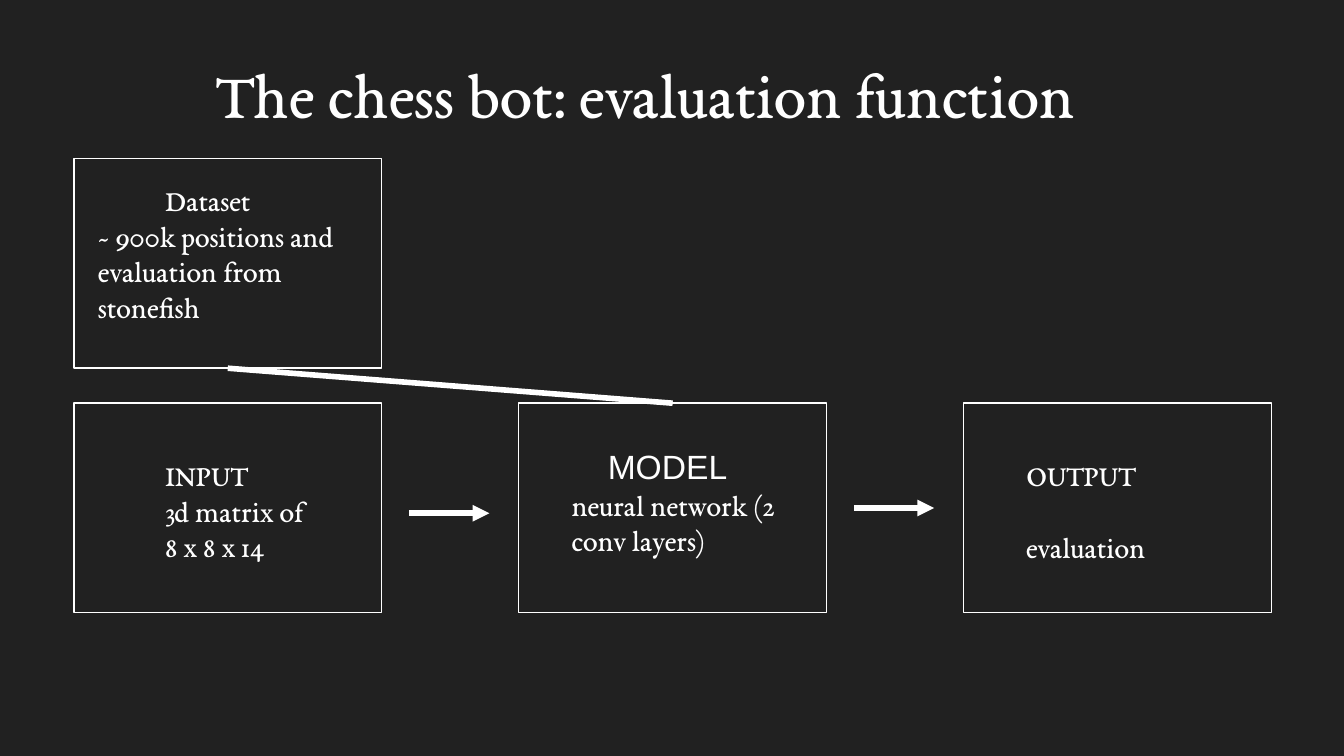
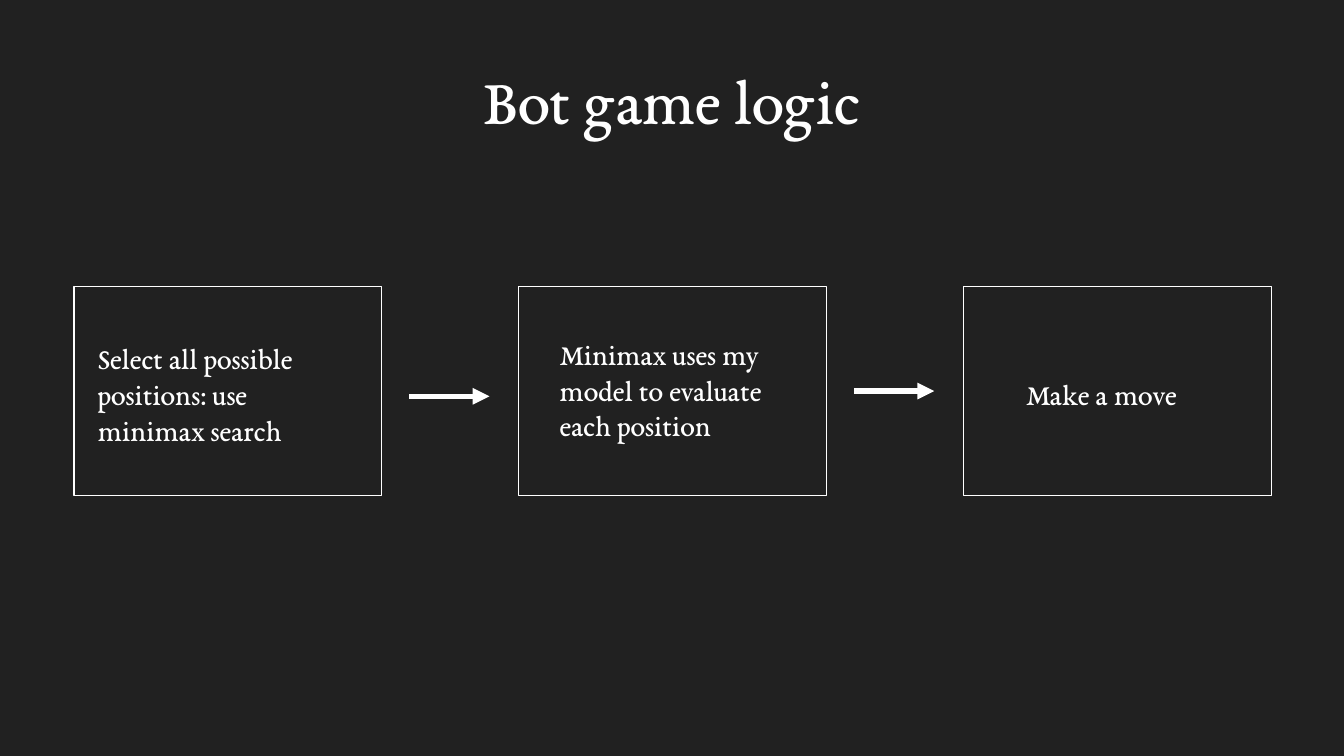
from dataclasses import dataclass
from lxml import etree
from pptx import Presentation
from pptx import util as u
from pptx.dml.color import RGBColor
from pptx.enum import shapes, text
from pptx.oxml import ns

WHITE = RGBColor(0xFF, 0xFF, 0xFF)
CHARCOAL = RGBColor(0x21, 0x21, 0x21)
SERIF = "EB Garamond"
SANS = "Arial"
TITLE_SIZE = 35
BODY_SIZE = 16
INSET = 0.1
LINE_HEIGHT = 0.27
TAB = 0.5
ARROW_SPAN = (1.09, 1.35)
ARROW_HEIGHTS = (0.525, 0.5)
LEFT_TEXT = (0.035, 0.19, 0.925, 0.62)
RIGHT_TEXT = (0.16, 0.19, 0.67, 0.62)


@dataclass
class Box:
    left: float
    top: float
    width: float
    height: float

    def point(self, across, down):
        return (u.Inches(self.left + across * self.width),
                u.Inches(self.top + down * self.height))

    def share(self, across, down, wide, high):
        return Box(self.left + across * self.width, self.top + down * self.height,
                   wide * self.width, high * self.height)

    def frame(self):
        return [u.Inches(side) for side in (self.left, self.top, self.width, self.height)]


@dataclass
class Line:
    words: str
    margin: float = 0
    first_indent: float = 0
    before: float = 0
    size: int = BODY_SIZE
    font: str = SERIF


PAGE = Box(0, 0, 10, 5.625)


def cell(column, top):
    return Box(0.55 + 3.31 * column, top, 2.29, 1.56)


def prepare_frame(frame, top_inset=INSET):
    frame.word_wrap = True
    frame.auto_size = text.MSO_AUTO_SIZE.NONE
    frame.vertical_anchor = text.MSO_ANCHOR.TOP
    frame.margin_left = frame.margin_right = frame.margin_bottom = u.Inches(INSET)
    frame.margin_top = u.Inches(top_inset)


def format_runs(para, size, font):
    for span in para.runs:
        span.font.size = u.Pt(size)
        span.font.name = font
        span.font.color.rgb = WHITE


def add_titled_page(deck, title, across, down):
    page = deck.slides.add_slide(deck.slide_layouts[5])
    holder = page.shapes.title
    box = PAGE.share(across, down, 0.914, 0.172)
    holder.left, holder.top, holder.width, holder.height = box.frame()
    holder.text_frame.text = title
    prepare_frame(holder.text_frame)
    para = holder.text_frame.paragraphs[0]
    para.alignment = text.PP_ALIGN.CENTER
    format_runs(para, TITLE_SIZE, SERIF)
    return page


def add_step(page, box, text_share, lines, top_inset=INSET):
    panel = page.shapes.add_shape(shapes.MSO_SHAPE.RECTANGLE, *box.frame())
    panel.shadow.inherit = False
    panel.fill.solid()
    panel.fill.fore_color.rgb = CHARCOAL
    panel.line.color.rgb = WHITE
    panel.line.width = u.Pt(0.75)

    label = page.shapes.add_textbox(*box.share(*text_share).frame())
    prepare_frame(label.text_frame, top_inset)
    label.text_frame.text = "\n".join(line.words for line in lines)
    for para, line in zip(label.text_frame.paragraphs, lines):
        properties = para._p.get_or_add_pPr()
        properties.set("marL", str(u.Inches(line.margin)))
        properties.set("indent", str(u.Inches(line.first_indent)))
        if line.before:
            para.space_before = u.Inches(line.before)
        format_runs(para, line.size, line.font)
    return panel


def add_line(page, start, end, arrow=False):
    line = page.shapes.add_connector(shapes.MSO_CONNECTOR.STRAIGHT, *start, *end)
    line.line.color.rgb = WHITE
    line.line.width = u.Pt(3)
    if arrow:
        etree.SubElement(line.line._get_or_add_ln(), ns.qn("a:tailEnd"), type="triangle")
    etree.SubElement(line._element.spPr, ns.qn("a:effectLst"))
    return line


def add_flow_arrows(page, top):
    for column, height in enumerate(ARROW_HEIGHTS):
        start, end = [cell(column, top).point(across, height) for across in ARROW_SPAN]
        add_line(page, start, end, arrow=True)


def build_evaluation_page(deck):
    page = add_titled_page(deck, "The chess bot: evaluation function", 0.023, 0.053)
    flow_top = 3
    dataset_box, model_box = cell(0, 1.18), cell(1, flow_top)
    add_step(page, cell(0, flow_top), LEFT_TEXT, [
        Line("INPUT", TAB), Line("3d matrix of", TAB), Line("8 x 8 x 14", TAB)])
    add_step(page, cell(2, flow_top), RIGHT_TEXT, [
        Line("OUTPUT"), Line("evaluation", before=LINE_HEIGHT)])
    model = add_step(page, model_box, (-0.09, 0.14, 1, 0.92), [
        Line("MODEL", first_indent=0.77, size=18, font=SANS),
        Line("neural network (2 conv layers)", TAB)])
    dataset = add_step(page, dataset_box, (0.035, 0.045, 0.925, 0.745), [
        Line("Dataset", TAB),
        Line("~ 900k positions and evaluation from stonefish")])
    add_flow_arrows(page, flow_top)
    link = add_line(page, dataset_box.point(0.5, 1), model_box.point(0.5, 0))
    link.begin_connect(dataset, 2)
    link.end_connect(model, 0)


def build_logic_page(deck):
    page = add_titled_page(deck, "Bot game logic", 0.043, 0.06)
    flow_top = 2.13
    add_step(page, cell(0, flow_top), LEFT_TEXT, [
        Line("Select all possible positions: use minimax search")])
    add_step(page, cell(1, flow_top), (0.09, 0.17, 0.82, 0.67), [
        Line("Minimax uses my model to evaluate each position")])
    add_step(page, cell(2, flow_top), RIGHT_TEXT, [Line("Make a move")],
             top_inset=INSET + LINE_HEIGHT)
    add_flow_arrows(page, flow_top)


def main():
    deck = Presentation()
    deck.slide_width = u.Inches(PAGE.width)
    deck.slide_height = u.Inches(PAGE.height)
    background = deck.slide_master.background.fill
    background.solid()
    background.fore_color.rgb = CHARCOAL
    build_evaluation_page(deck)
    build_logic_page(deck)
    deck.save("out.pptx")


if __name__ == "__main__":
    main()
